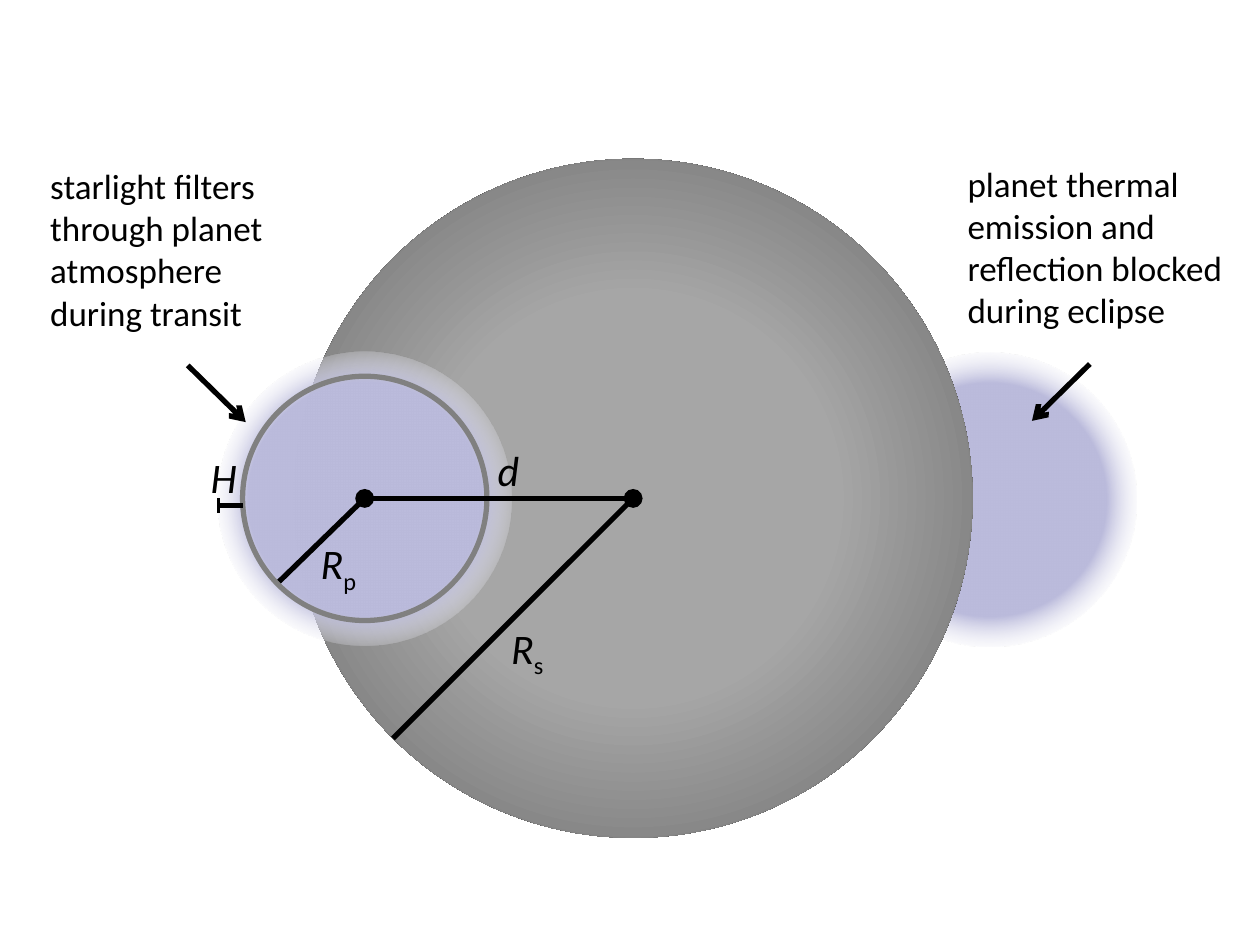
from dataclasses import dataclass

from lxml.etree import SubElement
from pptx import Presentation
from pptx.dml.color import RGBColor
from pptx.enum.shapes import MSO_CONNECTOR, MSO_SHAPE
from pptx.enum.text import MSO_AUTO_SIZE, PP_ALIGN
from pptx.oxml import parse_xml
from pptx.oxml.ns import nsdecls, qn
from pptx.util import Pt


@dataclass(frozen=True)
class Theme:
    font: str = "Calibri"
    ink: str = "000000"
    outline: str = "808080"
    # Gradient stops: percent from the centre, colour, opacity in percent
    star: tuple = ((42, "A6A6A6", 100), (78, "808080", 100), (93, "000000", 100))
    planet: tuple = ((56, "BBBBDC", 100), (76, "FFFFFF", 0))
    symbol_size: int = 24
    note_size: int = 20
    line_width: int = 3
    cap_width: int = 2


THEME = Theme()
STAR_CENTRE = (361.8, 284.8)
PLANET_CENTRE = (208.4, 284.8)
ECLIPSED_CENTRE = (565.6, 285.5)
STAR_RADIUS, HALO_RADIUS, PLANET_RADIUS, DOT_RADIUS = 194, 83.9, 69.8, 5.4


def add_round(slide, centre, radius, preset=MSO_SHAPE.OVAL):
    x, y = centre
    disc = slide.shapes.add_shape(
        preset, Pt(x - radius), Pt(y - radius), Pt(2 * radius), Pt(2 * radius))
    disc.shadow.inherit = False
    disc.line.fill.background()
    return disc


def add_glow(slide, centre, radius, stops):
    """Add a disc with a gradient that runs outwards from its centre."""
    disc = add_round(slide, centre, radius)
    stop_xml = "".join(
        f'<a:gs pos="{position * 1000}"><a:srgbClr val="{color}">'
        f'<a:alpha val="{opacity * 1000}"/></a:srgbClr></a:gs>'
        for position, color, opacity in stops)
    gradient = parse_xml(
        f'<a:gradFill {nsdecls("a")} rotWithShape="1"><a:gsLst>{stop_xml}</a:gsLst>'
        '<a:path path="circle"><a:fillToRect l="50000" t="50000" r="50000" b="50000"/>'
        '</a:path></a:gradFill>')
    disc.fill.background()
    properties = disc._element.spPr
    properties.replace(properties.find(qn("a:noFill")), gradient)


def add_dot(slide, centre):
    dot = add_round(slide, centre, DOT_RADIUS)
    dot.fill.solid()
    dot.fill.fore_color.rgb = RGBColor.from_string(THEME.ink)


def add_planet_edge(slide):
    edge = add_round(slide, PLANET_CENTRE, PLANET_RADIUS, MSO_SHAPE.ARC)
    edge.adjustments[0], edge.adjustments[1] = 0.97, 0.925
    edge.fill.background()
    edge.line.color.rgb = RGBColor.from_string(THEME.outline)
    edge.line.width = Pt(THEME.line_width)


def add_line(shapes, start, end, width=THEME.line_width, arrow=False):
    line = shapes.add_connector(
        MSO_CONNECTOR.STRAIGHT, *(Pt(value) for value in (*start, *end)))
    line.line.color.rgb = RGBColor.from_string(THEME.ink)
    line.line.width = Pt(width)
    if arrow:
        SubElement(line.line._get_or_add_ln(), qn("a:tailEnd"), type="arrow")
    SubElement(line._element.spPr, qn("a:effectLst"))


def add_text(slide, left, top, width, height, text, size):
    box = slide.shapes.add_textbox(Pt(left), Pt(top), Pt(width), Pt(height))
    frame = box.text_frame
    frame.word_wrap = True
    frame.auto_size = MSO_AUTO_SIZE.SHAPE_TO_FIT_TEXT
    paragraph = frame.paragraphs[0]
    paragraph.font.name = THEME.font
    paragraph.font.size = Pt(size)
    paragraph.font.color.rgb = RGBColor.from_string(THEME.ink)
    paragraph.add_run().text = text
    return paragraph


def add_symbol(slide, left, top, letter, subscript=""):
    paragraph = add_text(slide, left, top, 61.2, 36, letter, THEME.symbol_size)
    paragraph.alignment = PP_ALIGN.CENTER
    paragraph.runs[0].font.italic = True
    if subscript:
        index = paragraph.add_run()
        index.text = subscript
        index.font._element.set("baseline", "-25000")


def add_scale_height(slide):
    """Add the capped bar that spans the atmosphere, with its symbol."""
    bar = slide.shapes.add_group_shape()
    add_line(bar.shapes, (124.6, 288.7), (139, 288.7))
    add_line(bar.shapes, (125, 293), (125, 284.4), THEME.cap_width)
    add_symbol(slide, 97.2, 254.2, "H")


def main():
    deck = Presentation()
    deck.slide_width, deck.slide_height = Pt(720), Pt(540)
    slide = deck.slides.add_slide(deck.slide_layouts[6])

    add_glow(slide, ECLIPSED_CENTRE, HALO_RADIUS, THEME.planet)
    add_glow(slide, STAR_CENTRE, STAR_RADIUS, THEME.star)
    add_glow(slide, PLANET_CENTRE, HALO_RADIUS, THEME.planet)
    for centre in (PLANET_CENTRE, STAR_CENTRE):
        add_dot(slide, centre)

    add_symbol(slide, 259.9, 250.6, "d")
    add_line(slide.shapes, (224.6, 421.9), STAR_CENTRE)
    add_symbol(slide, 270.7, 352.1, "R", "s")
    add_line(slide.shapes, (158.8, 333), PLANET_CENTRE)
    add_planet_edge(slide)
    add_line(slide.shapes, PLANET_CENTRE, STAR_CENTRE)
    add_symbol(slide, 162.7, 303.8, "R", "p")
    add_scale_height(slide)

    add_text(slide, 21.6, 90.7, 138.2, 104.4,
             "starlight filters through planet atmosphere during transit", THEME.note_size)
    add_text(slide, 545.8, 89.3, 177.8, 104.4,
             "planet thermal emission and reflection blocked during eclipse", THEME.note_size)
    add_line(slide.shapes, (622.8, 208), (589.7, 240.5), arrow=True)
    add_line(slide.shapes, (107.3, 208.8), (140.4, 241.2), arrow=True)

    deck.save("out.pptx")


if __name__ == "__main__":
    main()
